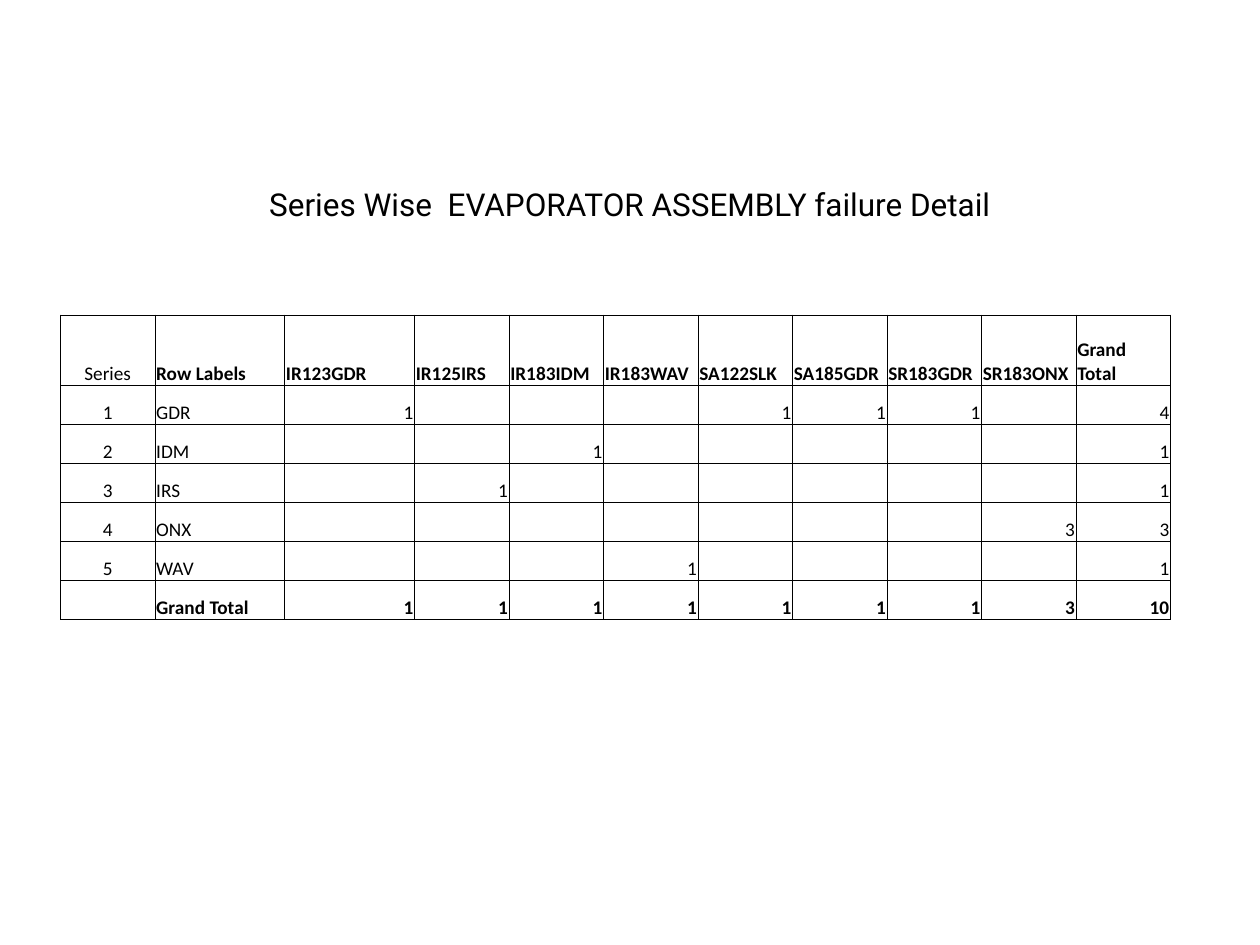
from lxml.etree import SubElement
from pptx import Presentation
from pptx.dml.color import RGBColor
from pptx.enum.text import MSO_ANCHOR, PP_ALIGN
from pptx.oxml.ns import qn
from pptx.util import Inches, Pt

BLACK = RGBColor(0x00, 0x00, 0x00)
BORDER_WIDTH = Pt(0.5)

MODELS = ["IR123GDR", "IR125IRS", "IR183IDM", "IR183WAV",
          "SA122SLK", "SA185GDR", "SR183GDR", "SR183ONX"]
FAILURES = {
    "GDR": {"IR123GDR": 1, "SA122SLK": 1, "SA185GDR": 1, "SR183GDR": 1},
    "IDM": {"IR183IDM": 1},
    "IRS": {"IR125IRS": 1},
    "ONX": {"SR183ONX": 3},
    "WAV": {"IR183WAV": 1},
}
COLUMN_WIDTHS = [0.75, 1.03, 1.03] + [0.75] * 8
ROW_HEIGHTS = [0.56] + [0.31] * 6


def draw_borders(cell):
    properties = cell._tc.get_or_add_tcPr()
    for side in ("a:lnL", "a:lnR", "a:lnT", "a:lnB"):
        line = SubElement(properties, qn(side), w=str(BORDER_WIDTH))
        solid = SubElement(line, qn("a:solidFill"))
        SubElement(solid, qn("a:srgbClr"), val=str(BLACK))


prs = Presentation()
prs.slide_width, prs.slide_height = Inches(10), Inches(7.5)
slide = prs.slides.add_slide(prs.slide_layouts[5])

title = slide.shapes.title
title.left, title.top = Inches(0.5), Inches(1.42)
title.width, title.height = Inches(9), Inches(0.62)
title.text_frame.text = "Series Wise  EVAPORATOR ASSEMBLY failure Detail"
title.text_frame.vertical_anchor = MSO_ANCHOR.TOP
heading = title.text_frame.paragraphs[0]
heading.alignment = PP_ALIGN.CENTER
heading.font.name = "Roboto"
heading.font.size = Pt(18)
heading.font.color.rgb = BLACK

rows = [["Series", "Row Labels", *MODELS, "Grand Total"]]
for number, (series, counts) in enumerate(FAILURES.items(), start=1):
    rows.append([number, series, *[counts.get(model, "") for model in MODELS],
                 sum(counts.values())])
model_totals = [sum(counts.get(model, 0) for counts in FAILURES.values())
                for model in MODELS]
rows.append(["", "Grand Total", *model_totals, sum(model_totals)])

failure_table = slide.shapes.add_table(
    len(rows), len(COLUMN_WIDTHS), Inches(0.48), Inches(2.5),
    Inches(sum(COLUMN_WIDTHS)), Inches(sum(ROW_HEIGHTS))).table
failure_table.first_row = failure_table.horz_banding = False
for column, width in zip(failure_table.columns, COLUMN_WIDTHS):
    column.width = Inches(width)
for row, height in zip(failure_table.rows, ROW_HEIGHTS):
    row.height = Inches(height)

for r, values in enumerate(rows):
    for c, value in enumerate(values):
        cell = failure_table.cell(r, c)
        cell.text = str(value)
        cell.vertical_anchor = MSO_ANCHOR.BOTTOM
        cell.margin_left = cell.margin_right = cell.margin_top = Inches(0.01)
        cell.margin_bottom = 0
        draw_borders(cell)
        cell.fill.background()

        entry = cell.text_frame.paragraphs[0]
        if c == 0:
            entry.alignment = PP_ALIGN.CENTER
        elif r == 0 or c == 1:
            entry.alignment = PP_ALIGN.LEFT
        else:
            entry.alignment = PP_ALIGN.RIGHT
        entry.font.name = "Calibri"
        entry.font.size = Pt(11)
        entry.font.bold = r in (0, len(rows) - 1) and c > 0
        entry.font.color.rgb = BLACK

prs.save("out.pptx")
